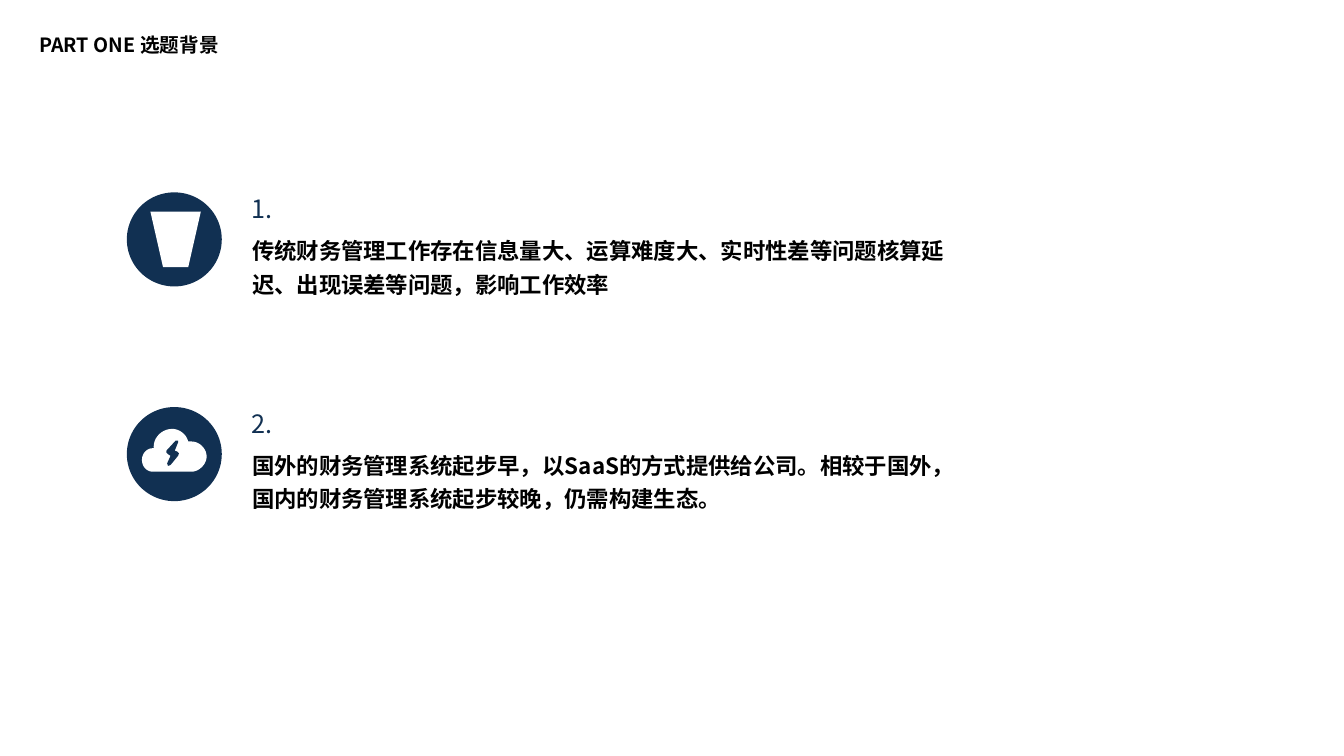
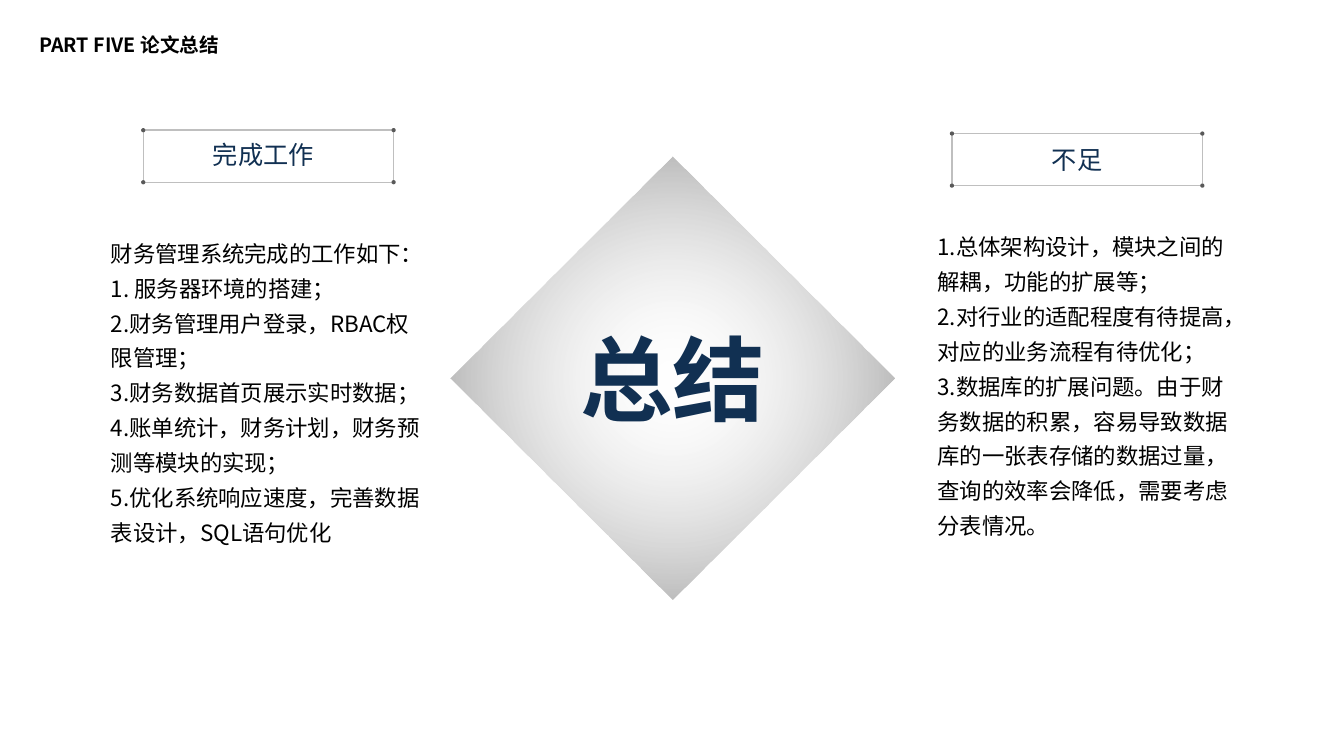
from pptx import Presentation
from pptx.dml.color import RGBColor
from pptx.enum.shapes import MSO_SHAPE
from pptx.enum.text import MSO_ANCHOR, PP_ALIGN
from pptx.oxml import parse_xml
from pptx.oxml.ns import nsdecls, qn
from pptx.util import Inches, Pt

RECT, OVAL = MSO_SHAPE.RECTANGLE, MSO_SHAPE.OVAL
DIAMOND, TRAPEZOID = MSO_SHAPE.DIAMOND, MSO_SHAPE.TRAPEZOID
TOP, MIDDLE = MSO_ANCHOR.TOP, MSO_ANCHOR.MIDDLE
LEFT, CENTER = PP_ALIGN.LEFT, PP_ALIGN.CENTER

WIDTH, HEIGHT = Inches(13.33), Inches(7.5)
ROWS = 90
CELL = HEIGHT / ROWS

FONT = "Noto Sans CJK SC"
NAVY, BLACK, WHITE = "113052", "000000", "FFFFFF"
FRAME_GRAY, DOT_GRAY = "BFBFBF", "595959"

GLOW = f"""<a:gradFill {nsdecls("a")} rotWithShape="1"><a:gsLst>
<a:gs pos="0"><a:srgbClr val="FAFAFA"><a:alpha val="3000"/></a:srgbClr></a:gs>
<a:gs pos="100000"><a:srgbClr val="808080"/></a:gs></a:gsLst>
<a:path path="circle"><a:fillToRect l="50000" t="50000" r="50000" b="50000"/></a:path>
</a:gradFill>"""

CLOUD_START = (7.7, 4.1)
CLOUD_CURVES = [
    ((7.6, 4.1), (7.4, 4.1), (7.3, 4.1)),
    ((7.1, 3.2), (6.2, 2.6), (5.4, 2.6)),
    ((4.2, 2.6), (3.2, 3.6), (3.2, 4.7)),
    ((3.2, 4.8), (3.2, 4.9), (3.3, 4.9)),
    ((3.2, 4.9), (3.2, 4.9), (3.1, 4.9)),
    ((2.4, 4.9), (1.8, 5.5), (1.8, 6.3)),
    ((1.8, 7.1), (2.4, 7.7), (3.1, 7.7)),
    ((4.6, 7.7), (6.2, 7.7), (7.7, 7.7)),
    ((8.6, 7.7), (9.5, 6.8), (9.5, 5.9)),
    ((9.5, 4.9), (8.6, 4.1), (7.7, 4.1)),
]
BOLT = [(6.1, 5.8), (5.2, 6.9), (4.9, 7), (4.8, 6.7), (5.2, 5.8), (4.9, 5.6),
        (4.7, 5.4), (4.7, 5.2), (5.8, 4), (6.1, 4), (6.1, 4.2), (5.7, 5.2),
        (6, 5.3), (6.2, 5.5)]


def color(value):
    return RGBColor.from_string(value)


def grid(*cells):
    return [round(c * CELL) for c in cells]


def flatten(start, curves, steps=10):
    points = [start]
    for a, b, end in curves:
        p0 = points[-1]
        for i in range(1, steps + 1):
            t = i / steps
            u = 1 - t
            points.append(tuple(
                u ** 3 * w + 3 * u * u * t * x + 3 * u * t * t * y + t ** 3 * z
                for w, x, y, z in zip(p0, a, b, end)))
    return points


class Deck:
    def __init__(self):
        self.prs = Presentation()
        self.prs.slide_width, self.prs.slide_height = WIDTH, HEIGHT
        self.s = None

    def slide(self, title):
        self.s = self.prs.slides.add_slide(self.prs.slide_layouts[6])
        self.text([title], 3.5, 2.9, 43.3, 5.2, 14, bold=True, spacing=0.9,
                  before=10, anchor=MIDDLE)

    def set_lines(self, tf, lines, size, ink=BLACK, bold=False, spacing=1.0,
                  before=0, align=LEFT):
        for i, line in enumerate(lines):
            p = tf.add_paragraph() if i else tf.paragraphs[0]
            p.text = line
            p.alignment = align
            p.line_spacing = spacing
            p.space_before = Pt(before)
            font = p.font
            font.size, font.bold, font.name = Pt(size), bold, FONT
            font.color.rgb = color(ink)
            ea = parse_xml(f'<a:ea {nsdecls("a")} typeface="{FONT}"/>')
            p._p.pPr.find(qn("a:defRPr")).append(ea)

    def text(self, lines, x, y, w, h, size, anchor=TOP, inset=True, **style):
        tf = self.s.shapes.add_textbox(*grid(x, y, w, h)).text_frame
        tf.word_wrap = True
        tf.vertical_anchor = anchor
        if not inset:
            tf.margin_left = tf.margin_right = tf.margin_top = tf.margin_bottom = 0
        self.set_lines(tf, lines, size, **style)

    def paint(self, sp, fill=None, line=None):
        sp.shadow.inherit = False
        if fill:
            sp.fill.solid()
            sp.fill.fore_color.rgb = color(fill)
        else:
            sp.fill.background()
        if line:
            sp.line.color.rgb = color(line)
            sp.line.width = Pt(1)
        else:
            sp.line.fill.background()
        return sp

    def shape(self, kind, x, y, w, h, fill=None, line=None):
        sp = self.s.shapes.add_shape(kind, *grid(x, y, w, h))
        return self.paint(sp, fill, line)

    def outline(self, points, x, y, fill):
        emu = [grid(x + px, y + py) for px, py in points]
        builder = self.s.shapes.build_freeform(*emu[0])
        builder.add_line_segments(emu[1:], close=True)
        self.paint(builder.convert_to_shape(), fill)

    def bucket(self, x, y):
        self.shape(TRAPEZOID, x + 2.8, y + 2.3, 6, 6.6, WHITE).rotation = 180

    def cloud(self, x, y):
        self.outline(flatten(CLOUD_START, CLOUD_CURVES), x, y, WHITE)
        self.outline(BOLT, x, y, NAVY)

    def item(self, number, body, icon, y):
        x = 15.1
        self.shape(OVAL, x, y, 11.3, 11.2, NAVY)
        icon(x, y)
        self.text([number], x + 14.8, y + 0.85, 32, 5.3, 18, inset=False,
                  ink=NAVY, spacing=0.8)
        self.text([body], x + 14.9, y + 4.55, 84.8, 14, 16, inset=False,
                  bold=True, spacing=1.25)

    def heading(self, label, x, y, dx=0, dy=0):
        w, h, dot = 29.8, 6.2, 0.5
        self.shape(RECT, x, y, w, h, line=FRAME_GRAY)
        for cx in (x, x + w):
            for cy in (y, y + h):
                self.shape(OVAL, cx - dot / 2, cy - dot / 2, dot, dot, DOT_GRAY)
        self.text([label], x + dx, y + dy, w, h, 18, anchor=MIDDLE, ink=NAVY,
                  align=CENTER)

    def glowing_diamond(self, label, x, y, side):
        sp = self.shape(DIAMOND, x, y, side, side)
        spPr = sp._element.spPr
        spPr.replace(spPr.find(qn("a:noFill")), parse_xml(GLOW))
        tf = sp.text_frame
        tf.vertical_anchor = MIDDLE
        self.set_lines(tf, [label], 66, ink=NAVY, bold=True, align=CENTER)


def main():
    deck = Deck()

    deck.slide("PART ONE 选题背景")
    items = [
        ("传统财务管理工作存在信息量大、运算难度大、实时性差等问题核算延迟、"
         "出现误差等问题，影响工作效率", deck.bucket),
        ("国外的财务管理系统起步早，以SaaS的方式提供给公司。相较于国外，"
         "国内的财务管理系统起步较晚，仍需构建生态。", deck.cloud),
    ]
    for i, (body, icon) in enumerate(items):
        deck.item(f"{i + 1}.", body, icon, 22.9 + 25.56 * i)

    deck.slide("PART FIVE 论文总结")
    deck.glowing_diamond("总结", 53.65, 18.6, 52.8)
    deck.heading("完成工作", 17.05, 15.5, dx=-0.6, dy=-0.2)
    deck.text([
        "财务管理系统完成的工作如下：",
        "1. 服务器环境的搭建；",
        "2.财务管理用户登录，RBAC权限管理；",
        "3.财务数据首页展示实时数据；",
        "4.账单统计，财务计划，财务预测等模块的实现；",
        "5.优化系统响应速度，完善数据表设计，SQL语句优化",
    ], 12, 27, 40, 38.6, 16, spacing=1.3)
    deck.heading("不足", 113.3, 15.9)
    deck.text([
        "1.总体架构设计，模块之间的解耦，功能的扩展等；",
        "2.对行业的适配程度有待提高，对应的业务流程有待优化；",
        "3.数据库的扩展问题。由于财务数据的积累，容易导致数据库的一张表"
        "存储的数据过量，查询的效率会降低，需要考虑分表情况。",
    ], 110.4, 26.2, 38.6, 38.6, 16, spacing=1.3)

    deck.prs.save("out.pptx")


if __name__ == "__main__":
    main()
